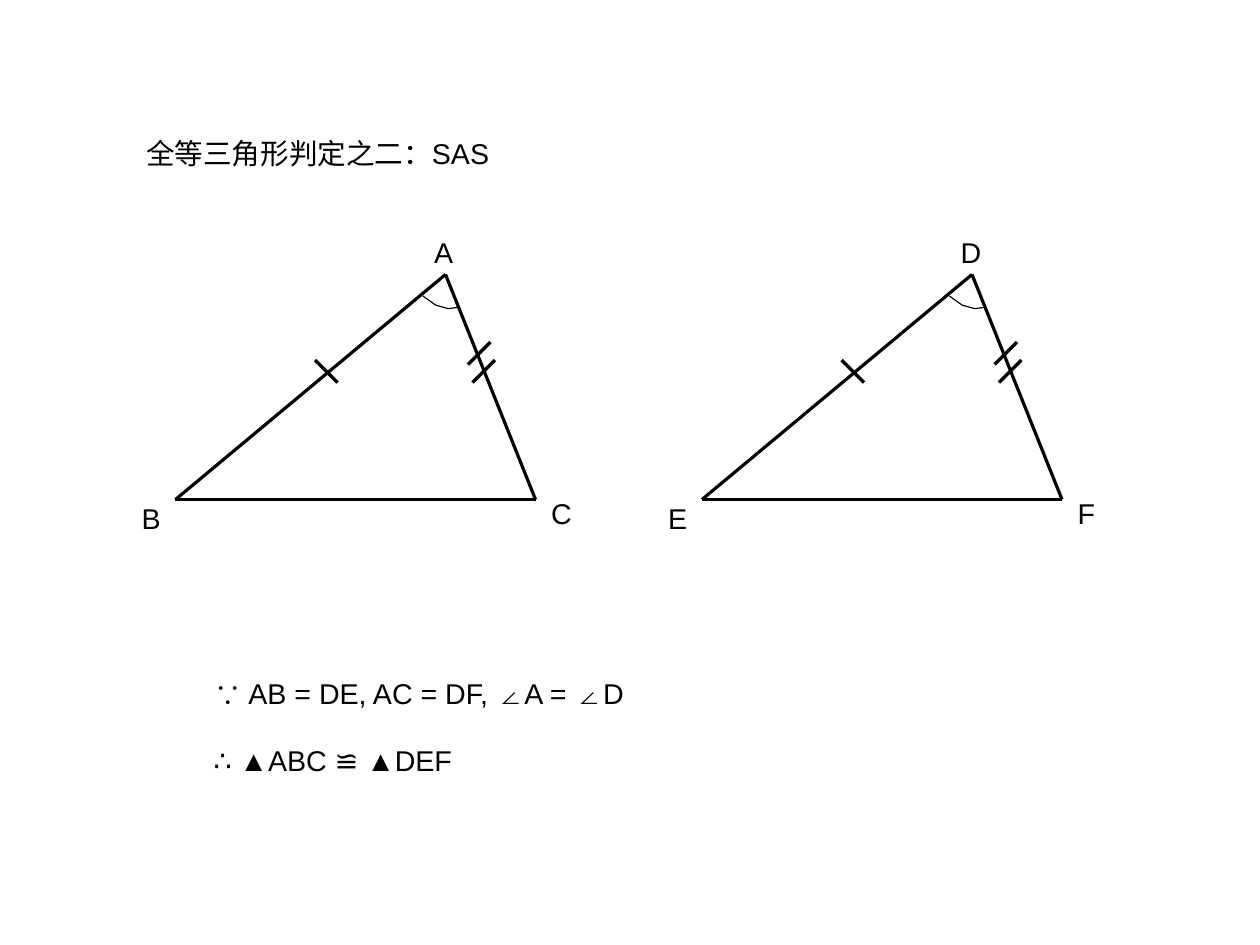
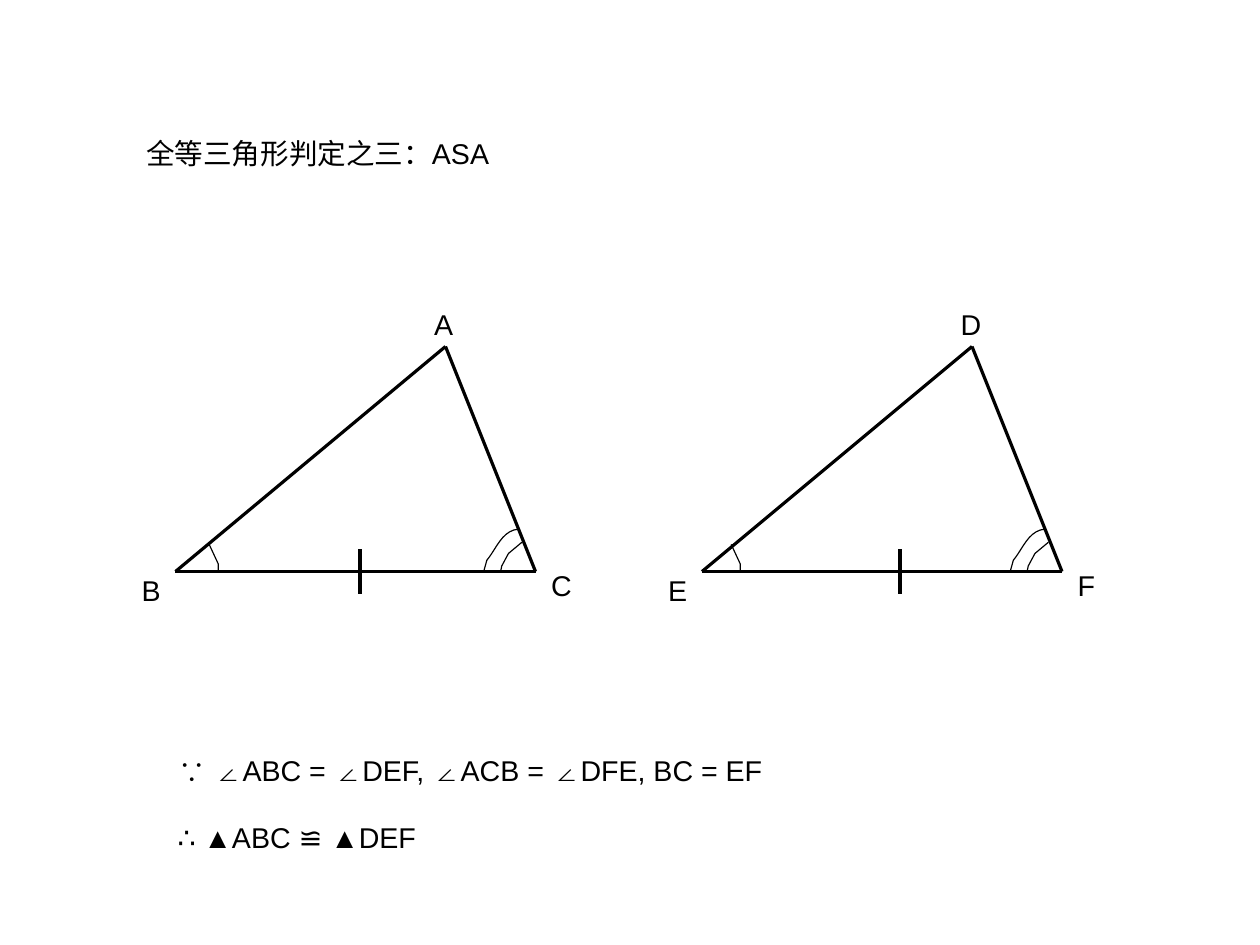
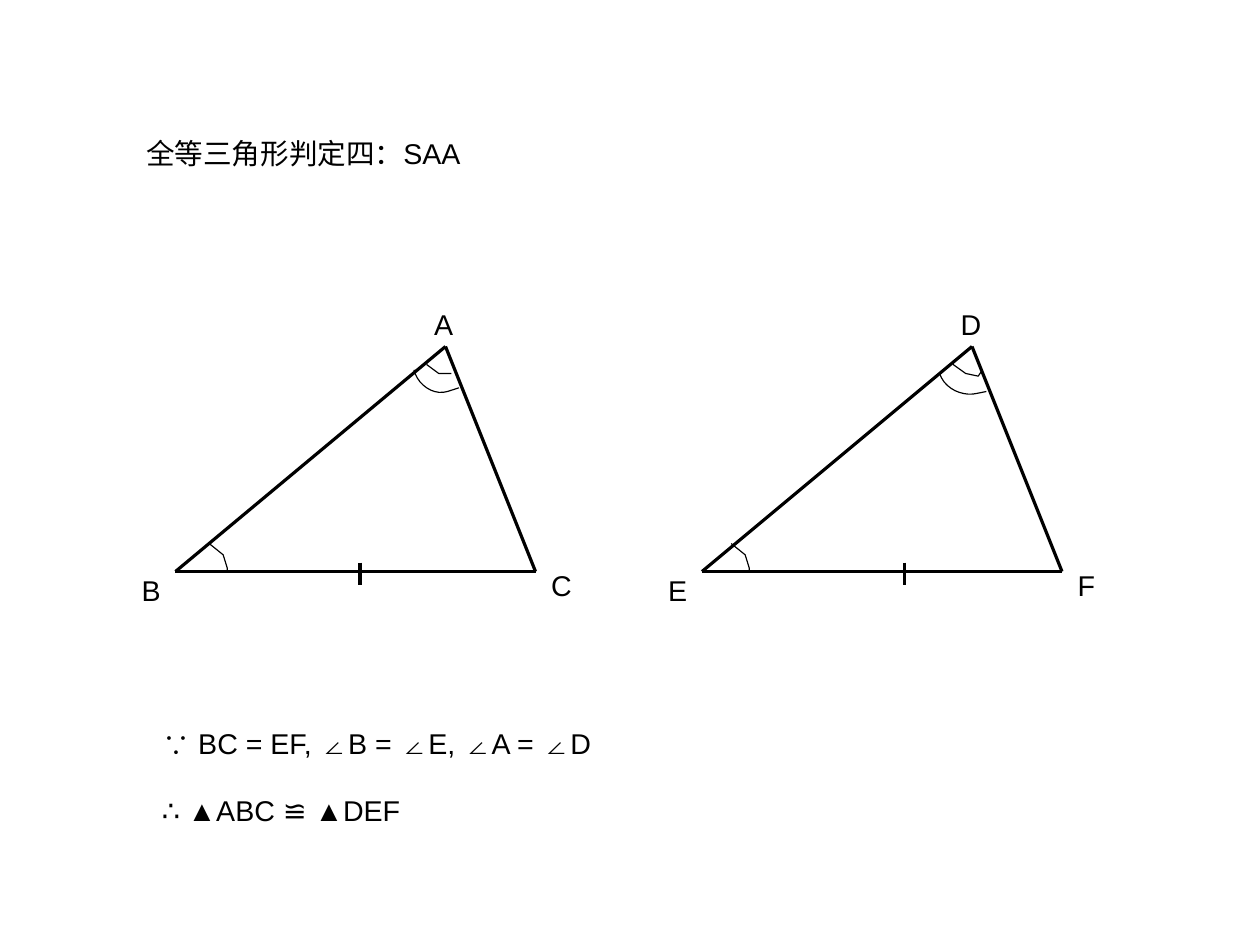
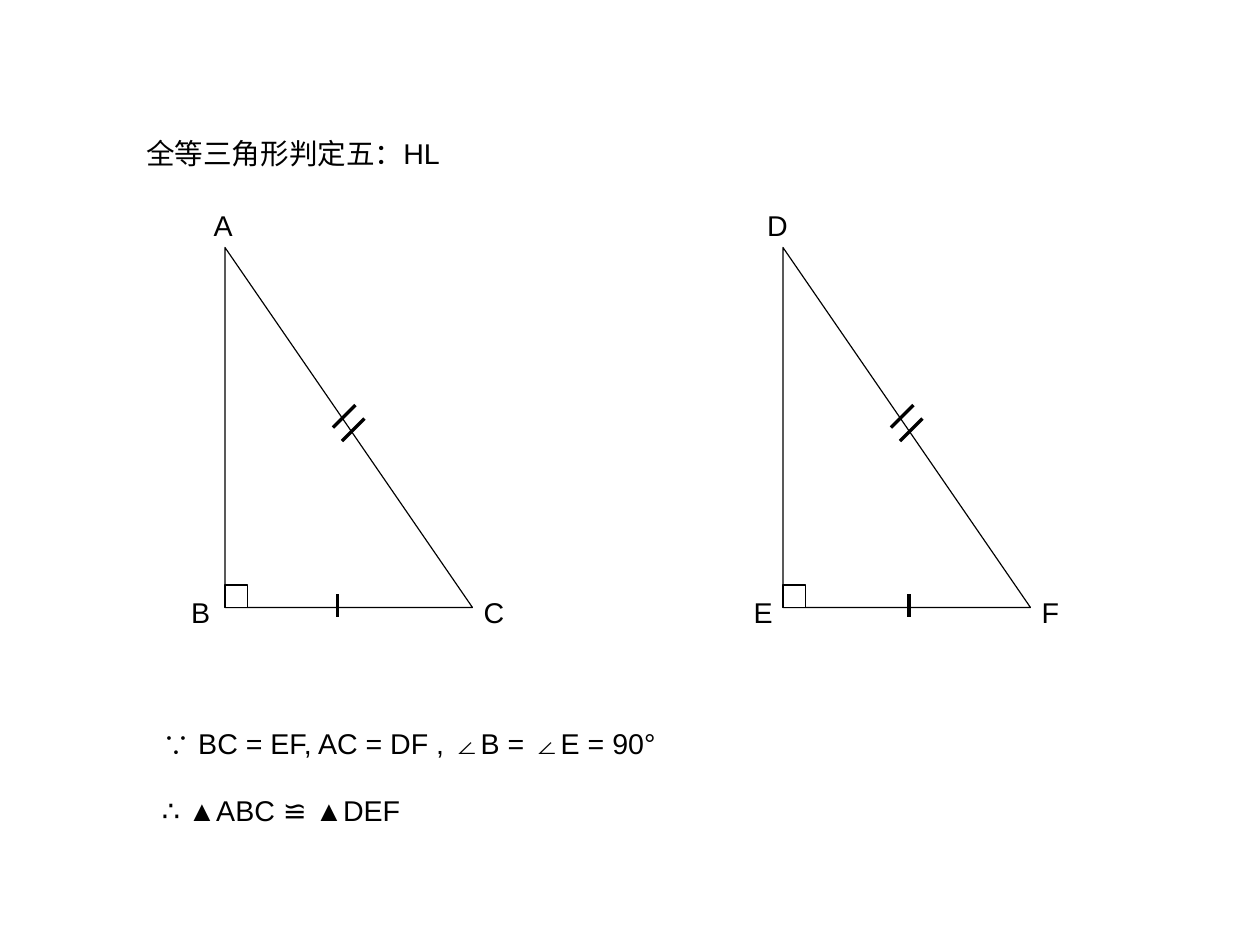
from dataclasses import dataclass

from lxml.etree import SubElement
from pptx import Presentation
from pptx.dml.color import RGBColor as Rgb
from pptx.enum.shapes import MSO_CONNECTOR as Link, MSO_SHAPE as Preset
from pptx.enum.text import MSO_AUTO_SIZE as AutoSize
from pptx.oxml.ns import qn
from pptx.util import Cm, Pt


@dataclass(frozen=True)
class Theme:
    ink: Rgb = Rgb(0, 0, 0)
    paper: Rgb = Rgb(255, 255, 255)
    font: str = "Arial"
    size: float = 18
    gap: float = 20.7
    hairline: float = 0
    columns: int = 28
    rows: int = 21


CONCLUSION = "∴ ▲ABC ≌ ▲DEF"
TWIN = 11.7
RIGHT_TWIN = 12.4


def curve(start, pull, push, end, steps=10):
    def at(t):
        u = 1 - t
        weights = (u ** 3, 3 * u * u * t, 3 * u * t * t, t ** 3)
        return tuple(
            sum(w * p[axis] for w, p in zip(weights, (start, pull, push, end)))
            for axis in (0, 1)
        )

    return [at(step / steps) for step in range(steps + 1)]


class Lesson:
    def __init__(self, theme):
        self.theme = theme
        self.deck = Presentation()
        self.deck.slide_width = Cm(theme.columns)
        self.deck.slide_height = Cm(theme.rows)
        self.slide = None

    def x(self, columns):
        return int(self.deck.slide_width * columns / self.theme.columns)

    def y(self, rows):
        return int(self.deck.slide_height * rows / self.theme.rows)

    def page(self, title, title_width, premise, left, top, width):
        self.slide = self.deck.slides.add_slide(self.deck.slide_layouts[6])
        self.text([title], 3, 2.9, title_width, 1.17)
        self.text([premise, CONCLUSION], left, top, width, 2.39)

    def text(self, lines, left, top, width, height):
        box = self.slide.shapes.add_textbox(
            self.x(left), self.y(top), self.x(width), self.y(height))
        frame = box.text_frame
        frame.text = "\n".join(lines)
        frame.word_wrap = False
        frame.auto_size = AutoSize.SHAPE_TO_FIT_TEXT
        for index, paragraph in enumerate(frame.paragraphs):
            if index:
                paragraph.space_before = Pt(self.theme.gap)
            for run in paragraph.runs:
                run.font.name = self.theme.font
                run.font.size = Pt(self.theme.size)
                run.font.color.rgb = self.theme.ink

    def label(self, letter, left, top):
        self.text([letter], left, top, 0.95, 0.97)

    def outline(self, item):
        item.line.color.rgb = self.theme.ink
        item.line.width = Pt(self.theme.hairline)

    def segment(self, start, end):
        line = self.slide.shapes.add_connector(
            Link.STRAIGHT, self.x(start[0]), self.y(start[1]),
            self.x(end[0]), self.y(end[1]))
        self.outline(line)
        SubElement(line._element.spPr, qn("a:effectLst"))

    def tick(self, start, end, twin=TWIN):
        for shift in (0, twin):
            self.segment((start[0] + shift, start[1]), (end[0] + shift, end[1]))

    def arc(self, points):
        (first, *rest) = [(self.x(col), self.y(row)) for col, row in points]
        builder = self.slide.shapes.build_freeform(*first)
        builder.add_line_segments(rest, close=False)
        angle = builder.convert_to_shape()
        angle.fill.background()
        self.outline(angle)
        angle.shadow.inherit = False

    def arcs(self, points, twin=TWIN):
        for shift in (0, twin):
            self.arc([(col + shift, row) for col, row in points])

    def block(self, preset, left, top, width, height):
        shape = self.slide.shapes.add_shape(
            preset, self.x(left), self.y(top), self.x(width), self.y(height))
        shape.fill.solid()
        shape.fill.fore_color.rgb = self.theme.paper
        self.outline(shape)
        shape.shadow.inherit = False

    def triangles(self, apex_row):
        base_row = apex_row + 5
        for letters, shift in (("ABC", 0), ("DEF", TWIN)):
            apex = (9.9 + shift, apex_row)
            left = (3.9 + shift, base_row)
            right = (11.9 + shift, base_row)
            for start, end in ((apex, left), (apex, right), (left, right)):
                self.segment(start, end)
            self.label(letters[0], apex[0] - 0.5, apex_row - 1)
            self.label(letters[1], left[0] - 1, base_row - 0.1)
            self.label(letters[2], right[0] + 0.1, base_row - 0.2)

    def right_triangles(self, left, top, width, height, corner):
        base_row = top + height
        for shift in (0, RIGHT_TWIN):
            self.block(Preset.RIGHT_TRIANGLE, left + shift, top, width, height)
            self.block(Preset.RECTANGLE, left + shift, base_row - corner, corner, corner)
        for letter, col, row in (
            ("A", 4.5, top - 1), ("B", 4, base_row - 0.4), ("C", 10.5, base_row - 0.4),
            ("D", 16.8, top - 1), ("E", 16.5, base_row - 0.4), ("F", 22.9, base_row - 0.4),
        ):
            self.label(letter, col, row)


def side_angle_side(lesson):
    lesson.page("全等三角形判定之二：SAS", 8.3,
                "∵ AB = DE, AC = DF, ∠A = ∠D", 4.5, 14.9, 9.63)
    lesson.triangles(6.1)
    lesson.tick((7, 8), (7.5, 8.5))
    lesson.tick((10.9, 7.6), (10.4, 8.1))
    lesson.tick((11, 8), (10.5, 8.5))
    lesson.arcs([(9.4, 6.58), (9.68, 6.78), (9.96, 6.86), (10.19, 6.83)])


def angle_side_angle(lesson):
    lesson.page("全等三角形判定之三：ASA", 8.3,
                "∵ ∠ABC = ∠DEF, ∠ACB = ∠DFE, BC = EF", 3.7, 16.6, 16.3)
    lesson.triangles(7.7)
    lesson.tick((8, 12.2), (8, 13.2), 12)
    lesson.arcs([(4.65, 12.1), (4.85, 12.53), (4.85, 12.7)], 11.6)
    lesson.arcs([(11.6, 12.05), (11.3, 12.3), (11.15, 12.58), (11.13, 12.68)])
    lesson.arcs(curve((11.52, 11.76), (11.15, 11.79), (11.02, 12.22), (10.82, 12.45))
                + [(10.75, 12.7)])


def side_angle_angle(lesson):
    lesson.page("全等三角形判定四：SAA", 7.67,
                "∵ BC = EF, ∠B = ∠E, ∠A = ∠D", 3.35, 16, 10.87)
    lesson.triangles(7.7)
    lesson.tick((8, 12.5), (8, 13), 12.1)
    lesson.arcs([(4.65, 12.08), (4.96, 12.33), (5.05, 12.62), (5.05, 12.69)], 11.6)
    lesson.arc([(9.48, 8.1), (9.75, 8.3), (10.03, 8.3)])
    lesson.arc([(21.18, 8.1), (21.46, 8.3), (21.74, 8.36), (21.82, 8.24)])
    lesson.arc(curve((9.2, 8.22), (9.28, 8.55), (9.63, 8.8), (9.95, 8.7))
               + [(10.2, 8.62)])
    lesson.arc(curve((20.88, 8.3), (21, 8.65), (21.4, 8.82), (21.72, 8.74))
               + [(21.92, 8.7)])


def hypotenuse_leg(lesson):
    lesson.page("全等三角形判定五：HL", 7.24,
                "∵ BC = EF, AC = DF , ∠B = ∠E = 90°", 3.35, 16, 11.48)
    lesson.right_triangles(5, 5.5, 5.5, 8, 0.5)
    lesson.tick((7.5, 13.2), (7.5, 13.7), 12.7)
    lesson.tick((7.4, 9.5), (7.9, 9), RIGHT_TWIN)
    lesson.tick((7.6, 9.8), (8.1, 9.3), RIGHT_TWIN)


def main():
    lesson = Lesson(Theme())
    for build in (side_angle_side, angle_side_angle, side_angle_angle, hypotenuse_leg):
        build(lesson)
    lesson.deck.save("out.pptx")


if __name__ == "__main__":
    main()
